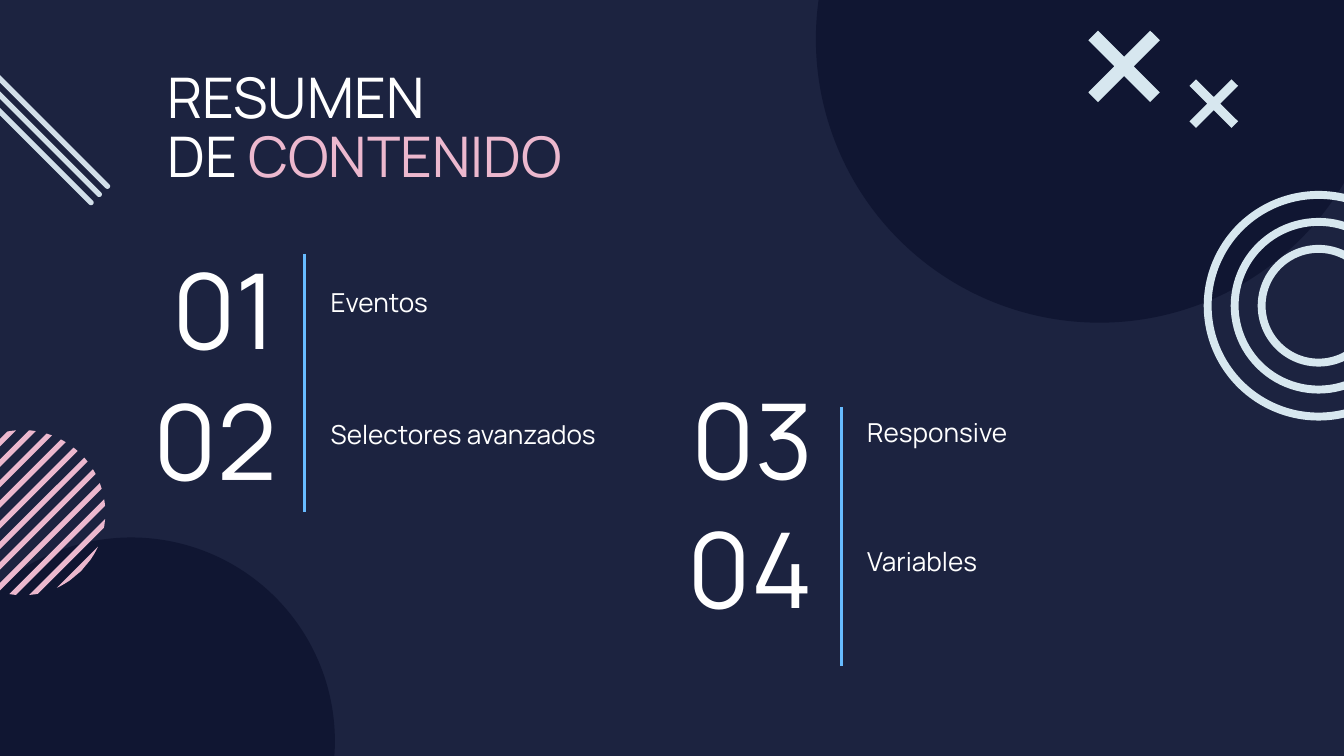
from dataclasses import dataclass
from math import sqrt
from pptx import Presentation
from pptx.dml.color import RGBColor
from pptx.enum.shapes import MSO_CONNECTOR, MSO_SHAPE
from pptx.enum.text import MSO_ANCHOR, PP_ALIGN
from pptx.oxml.ns import qn
from pptx.util import Cm, Pt


@dataclass(frozen=True)
class Theme:
    font: str = "Manrope"
    back: str = "1C2340"
    dark: str = "101632"
    white: str = "FFFFFF"
    pink: str = "ECB8CE"
    ice: str = "D7E7EF"
    mist: str = "D2DFE9"
    blue: str = "67BBFF"
    title: float = 30
    number: float = 56
    label: float = 14


THEME = Theme()


def apply(target, values):
    for name, value in values.items():
        setattr(target, name, value)


def paint(shape, tint):
    shape.fill.solid()
    shape.fill.fore_color.rgb = RGBColor.from_string(tint)
    shape.line.fill.background()
    shape.shadow.inherit = False


def preset(slide, kind, box, tint):
    shape = slide.shapes.add_shape(kind, *map(Cm, box))
    paint(shape, tint)
    return shape


def outline(slide, points, tint):
    spots = [(Cm(x), Cm(y)) for x, y in points]
    builder = slide.shapes.build_freeform(*spots[0], scale=1.0)
    builder.add_line_segments(spots[1:], close=True)
    paint(builder.convert_to_shape(), tint)


def write(slide, box, lines, size, frame=None, para=None):
    body = slide.shapes.add_textbox(*map(Cm, box)).text_frame
    edge = Cm(0.25)
    apply(body, {"word_wrap": True, "margin_left": edge, "margin_right": edge,
                 "margin_top": edge, "margin_bottom": edge, **(frame or {})})
    for i, line in enumerate(lines):
        part = body.add_paragraph() if i else body.paragraphs[0]
        apply(part, para or {})
        for text, tint in line:
            run = part.add_run()
            run.text = text
            apply(run.font, {"name": THEME.font, "size": Pt(size)})
            run.font.color.rgb = RGBColor.from_string(tint)


def disc(slide, box):
    preset(slide, MSO_SHAPE.OVAL, box, THEME.dark)


def hatch(slide, box, count=11, gap=0.275, thick=0.1, cuts=4):
    left, top, width, height = box
    radius = width / 2
    mid_x, mid_y = left + radius, top + height / 2
    for i in range(count):
        start = radius - thick - i * gap
        upper, lower = [], []
        for j in range(cuts + 1):
            dist = start + thick * j / cuts
            half = sqrt(max(0, radius ** 2 - dist ** 2))
            for side, sign in ((upper, 1), (lower, -1)):
                side.append((mid_x + (dist + sign * half) / sqrt(2),
                             mid_y + (dist - sign * half) / sqrt(2)))
        outline(slide, upper + lower[::-1], THEME.pink)


def rings(slide, box, count=3, inset=0.51, thick=0.15):
    left, top, width, height = box
    for i in range(count):
        shift = i * inset
        size = width - 2 * shift
        ring = preset(slide, MSO_SHAPE.DONUT,
                      (left + shift, top + shift, size, height - 2 * shift), THEME.ice)
        ring.adjustments[0] = thick / size


def streaks(slide, box, count=3, step=0.155, thick=0.1):
    left, top, width, height = box
    span = (width - (count - 1) * step - thick) * sqrt(2) + thick
    reach = (count - 1) / 2
    for i in range(count):
        shift = (i - reach) * step
        mid_x = left + width / 2 - shift
        mid_y = top + height / 2 + shift
        bar = preset(slide, MSO_SHAPE.ROUNDED_RECTANGLE,
                     (mid_x - span / 2, mid_y - thick / 2, span, thick), THEME.mist)
        bar.adjustments[0] = 0.5
        bar.rotation = 45


def cross(slide, box, arm=0.135):
    left, top, width, height = box
    far, near, past = 1 - arm, 0.5 - arm, 0.5 + arm
    points = [(arm, 0), (0, arm), (near, 0.5), (0, far), (arm, 1), (0.5, past),
              (far, 1), (1, far), (past, 0.5), (1, arm), (far, 0), (0.5, near)]
    outline(slide, [(left + x * width, top + y * height) for x, y in points], THEME.ice)


def heading(slide, box):
    lines = [[("RESUMEN", THEME.white)],
             [("DE ", THEME.white), ("CONTENIDO", THEME.pink)]]
    write(slide, box, lines, THEME.title, para={"line_spacing": 0.88})


def column(slide, box, items, shift, step):
    left, top, width, height = box
    for i, (number, label) in enumerate(items):
        line = top + shift + i * step
        write(slide, (left, line, 3.68, 0.66), [[(number, THEME.white)]], THEME.number,
              {"vertical_anchor": MSO_ANCHOR.MIDDLE}, {"alignment": PP_ALIGN.RIGHT})
        write(slide, (left + 4.2, line - 0.32, width - 4.2, 1.12),
              [[(label, THEME.white)]], THEME.label)
    x = Cm(left + 3.96)
    rule = slide.shapes.add_connector(MSO_CONNECTOR.STRAIGHT, x, Cm(top), x, Cm(top + height))
    rule.line.width = Pt(1.5)
    rule.line.color.rgb = RGBColor.from_string(THEME.blue)
    props = rule._element.spPr
    props.append(props.makeelement(qn("a:effectLst"), {}))


def main():
    deck = Presentation()
    apply(deck, {"slide_width": Cm(25.4), "slide_height": Cm(14.29)})
    slide = deck.slides.add_slide(deck.slide_layouts[6])
    slide.background.fill.solid()
    slide.background.fill.fore_color.rgb = RGBColor.from_string(THEME.back)
    disc(slide, (-1.37, 10.16, 7.7, 7.7))
    disc(slide, (15.42, -4.62, 10.72, 10.72))
    hatch(slide, (-1.13, 8.13, 3.12, 3.12))
    rings(slide, (22.75, 3.61, 4.34, 4.34))
    streaks(slide, (-1.22, 0.58, 3.3, 3.3))
    cross(slide, (22.48, 1.5, 0.92, 0.92))
    cross(slide, (20.57, 0.58, 1.35, 1.35))
    heading(slide, (2.92, 1.1, 10.29, 2.49))
    column(slide, (1.8, 4.8, 10.74, 4.88),
           [("01", "Eventos"), ("02", "Selectores avanzados")], 0.69, 2.48)
    column(slide, (11.94, 7.7, 10.74, 4.88),
           [("03", "Responsive"), ("04", "Variables")], 0.25, 2.43)
    deck.save("out.pptx")


if __name__ == "__main__":
    main()
